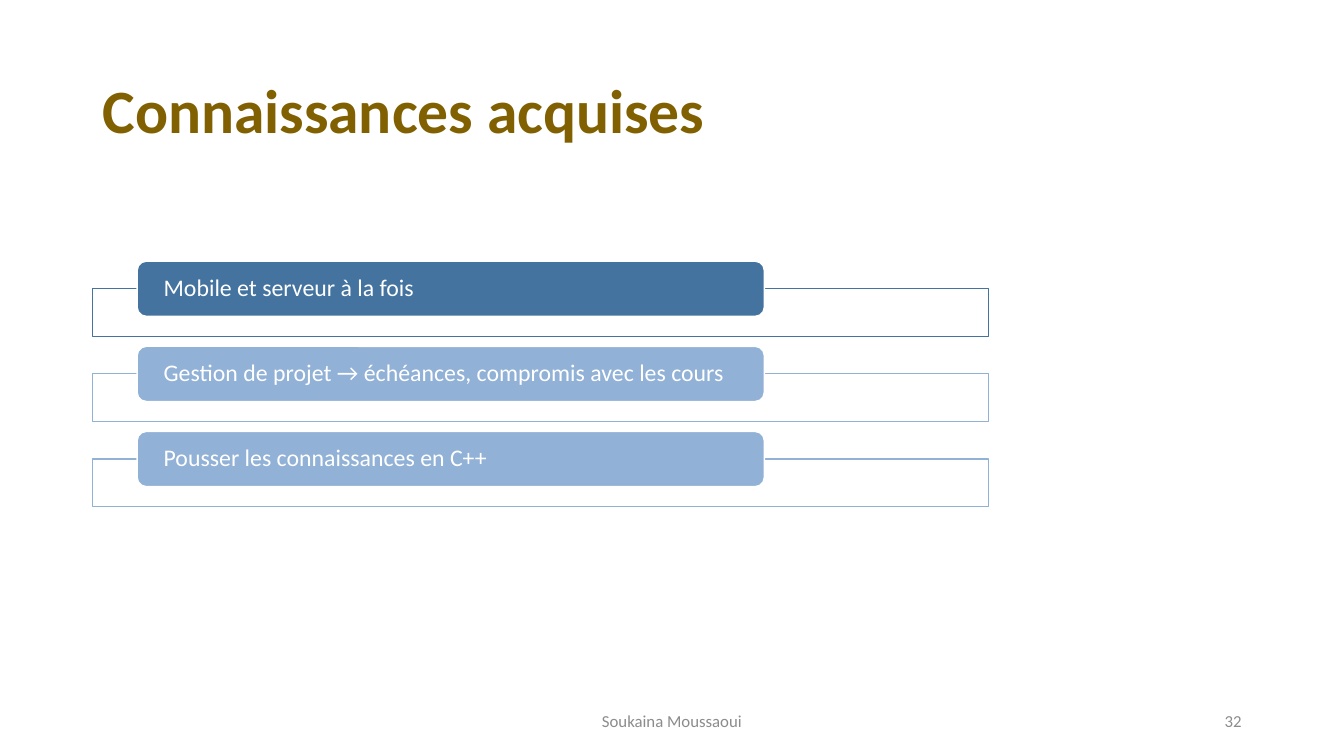
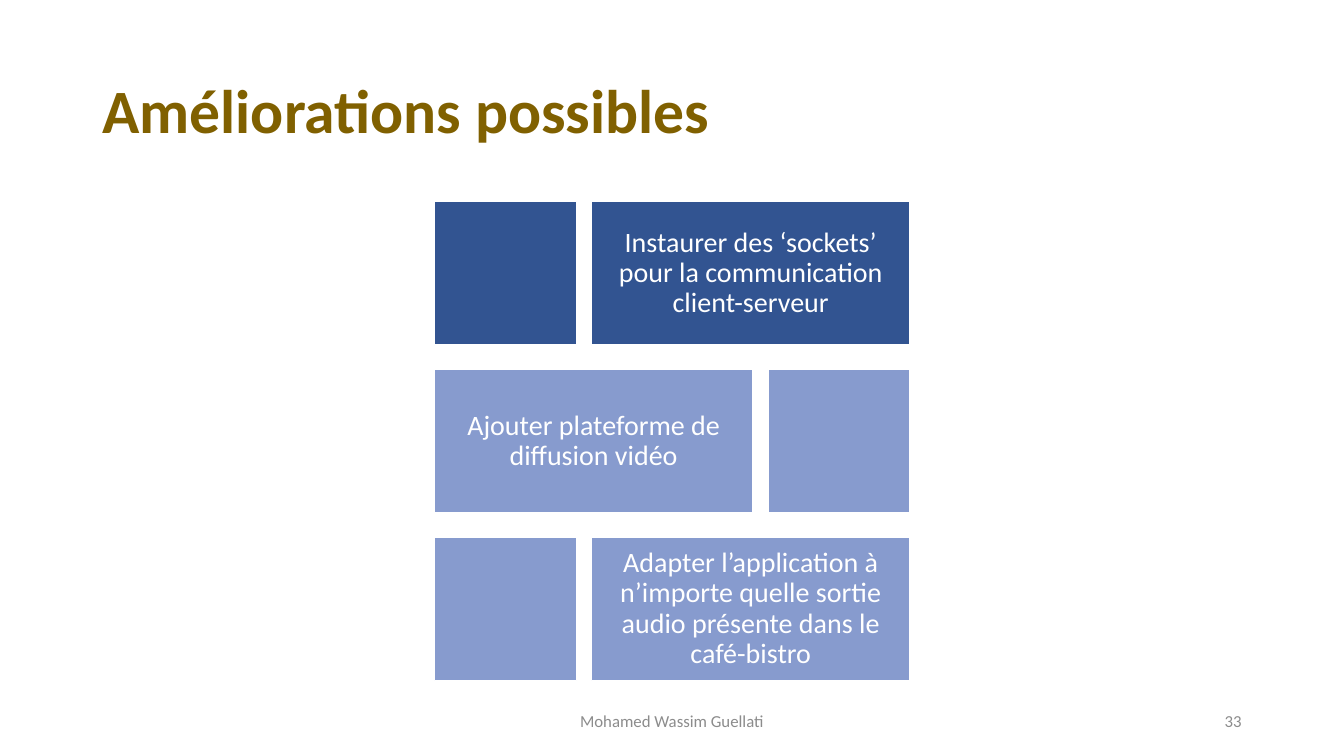
from pptx import Presentation
from pptx.dml import color
from pptx.enum import shapes, text
from pptx.util import Pt

FONT = "Calibri"
WHITE = "FFFFFF"
TITLE_COLOR = "806000"
FOOTER_COLOR = "8C8C8C"
TITLE_ONLY_LAYOUT = 5

KNOWLEDGE = [
    ("Mobile et serveur à la fois", "43739E"),
    ("Gestion de projet → échéances, compromis avec les cours", "91B1D6"),
    ("Pousser les connaissances en C++", "91B1D6"),
]
IMPROVEMENTS = [
    ("Instaurer des ‘sockets’ pour la communication client-serveur", "325491"),
    ("Ajouter plateforme de diffusion vidéo", "879BCE"),
    ("Adapter l’application à n’importe quelle sortie audio présente dans le café-bistro", "879BCE"),
]


def rgb(value):
    """Return the colour for a hex string."""
    return color.RGBColor.from_string(value)


def write(shape, words, size, hex_color, align, bold=False, line_spacing=0.9):
    """Put one formatted, vertically centred paragraph in a shape."""
    frame = shape.text_frame
    frame.text = words
    frame.word_wrap = True
    frame.auto_size = text.MSO_AUTO_SIZE.NONE
    frame.vertical_anchor = text.MSO_ANCHOR.MIDDLE
    paragraph = frame.paragraphs[0]
    paragraph.alignment = align
    paragraph.line_spacing = line_spacing
    paragraph.font.name = FONT
    paragraph.font.size = Pt(size)
    paragraph.font.bold = bold
    paragraph.font.color.rgb = rgb(hex_color)


def set_margins(shape, horizontal, vertical):
    """Set the text margins of a shape."""
    frame = shape.text_frame
    frame.margin_left = frame.margin_right = Pt(horizontal)
    frame.margin_top = frame.margin_bottom = Pt(vertical)


def add_box(slide, left, top, width, height, fill, line=WHITE, kind=shapes.MSO_SHAPE.RECTANGLE):
    """Add a filled and outlined preset shape."""
    shape = slide.shapes.add_shape(kind, Pt(left), Pt(top), Pt(width), Pt(height))
    shape.shadow.inherit = False
    shape.fill.solid()
    shape.fill.fore_color.rgb = rgb(fill)
    shape.line.color.rgb = rgb(line)
    shape.line.width = Pt(1)
    return shape


def add_footer(slide, left, width, words, align):
    """Add a small grey text at the foot of a slide."""
    box = slide.shapes.add_textbox(Pt(left), Pt(500.5), Pt(width), Pt(28.75))
    write(box, words, 12, FOOTER_COLOR, align, line_spacing=1)


def add_slide(presentation, title, author, number):
    """Add a slide with its title, author and number."""
    slide = presentation.slides.add_slide(presentation.slide_layouts[TITLE_ONLY_LAYOUT])
    shape = slide.shapes.title
    shape.left, shape.top, shape.width, shape.height = Pt(66), Pt(28.75), Pt(828), Pt(104.4)
    write(shape, title, 44, TITLE_COLOR, text.PP_ALIGN.LEFT, bold=True)
    add_footer(slide, 678, 216, str(number), text.PP_ALIGN.RIGHT)
    add_footer(slide, 318, 324, author, text.PP_ALIGN.CENTER)
    return slide


def add_tabbed_list(slide, items):
    """Stack outlined frames, each with a rounded label over its top edge."""
    for index, (words, hex_color) in enumerate(items):
        top = 186.6 + index * 60.8
        add_box(slide, 66, top + 19.6, 640, 34, WHITE, hex_color)
        label = add_box(slide, 98, top, 448, 39.4, hex_color, kind=shapes.MSO_SHAPE.ROUNDED_RECTANGLE)
        set_margins(label, 17, 0)
        write(label, words, 17, WHITE, text.PP_ALIGN.LEFT)


def add_alternating_blocks(slide, items):
    """Stack rows of a text block and a square that swap sides."""
    left, right, wide, narrow, height = 310.3, 650, 227.5, 101.5, 102.6
    for index, (words, hex_color) in enumerate(items):
        top = 144 + index * 119.8
        block_left, square_left = right - wide, left
        if index % 2:
            block_left, square_left = left, right - narrow
        block = add_box(slide, block_left, top, wide, height, hex_color)
        set_margins(block, 6, 6)
        write(block, words, 20, WHITE, text.PP_ALIGN.CENTER)
        add_box(slide, square_left, top, narrow, height, hex_color)


def main():
    """Build and save the presentation."""
    presentation = Presentation()
    presentation.slide_width, presentation.slide_height = Pt(960), Pt(540)
    slide = add_slide(presentation, "Connaissances acquises", "Soukaina Moussaoui", 32)
    add_tabbed_list(slide, KNOWLEDGE)
    slide = add_slide(presentation, "Améliorations possibles", "Mohamed Wassim Guellati", 33)
    add_alternating_blocks(slide, IMPROVEMENTS)
    presentation.save("out.pptx")


if __name__ == "__main__":
    main()
